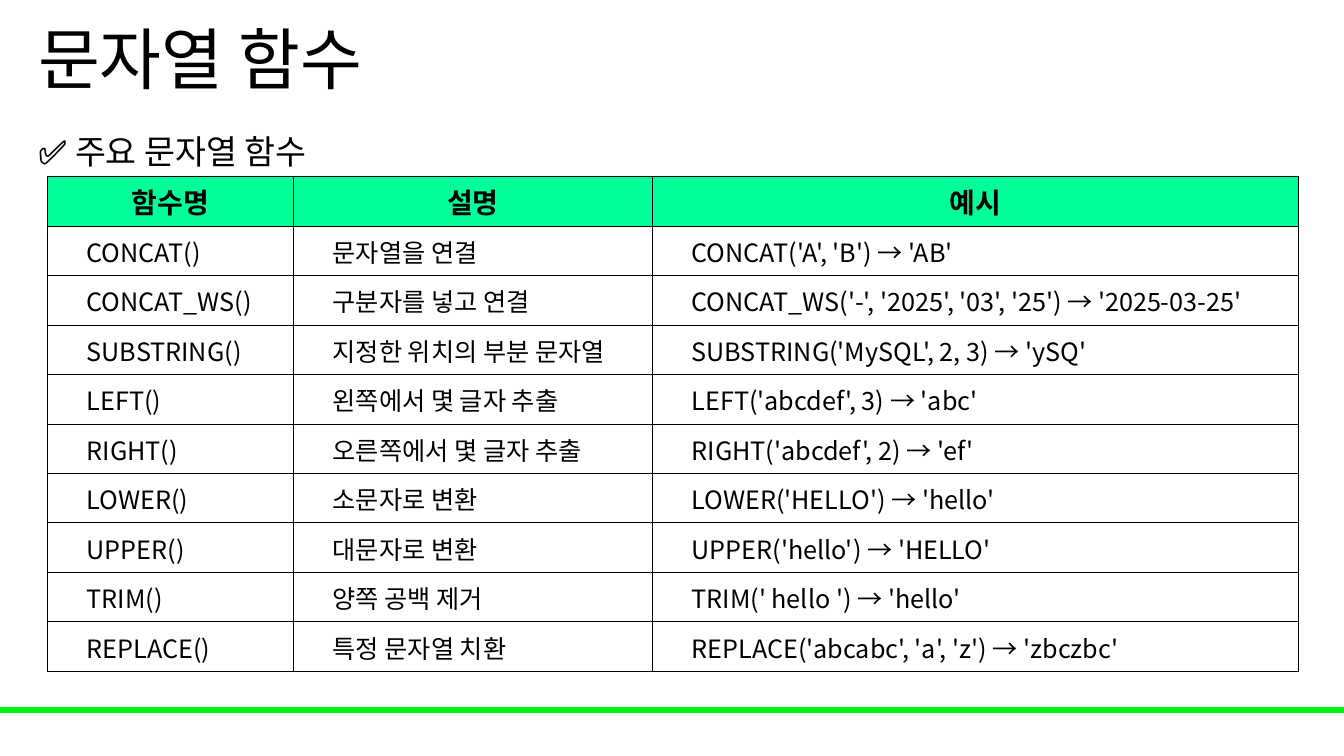
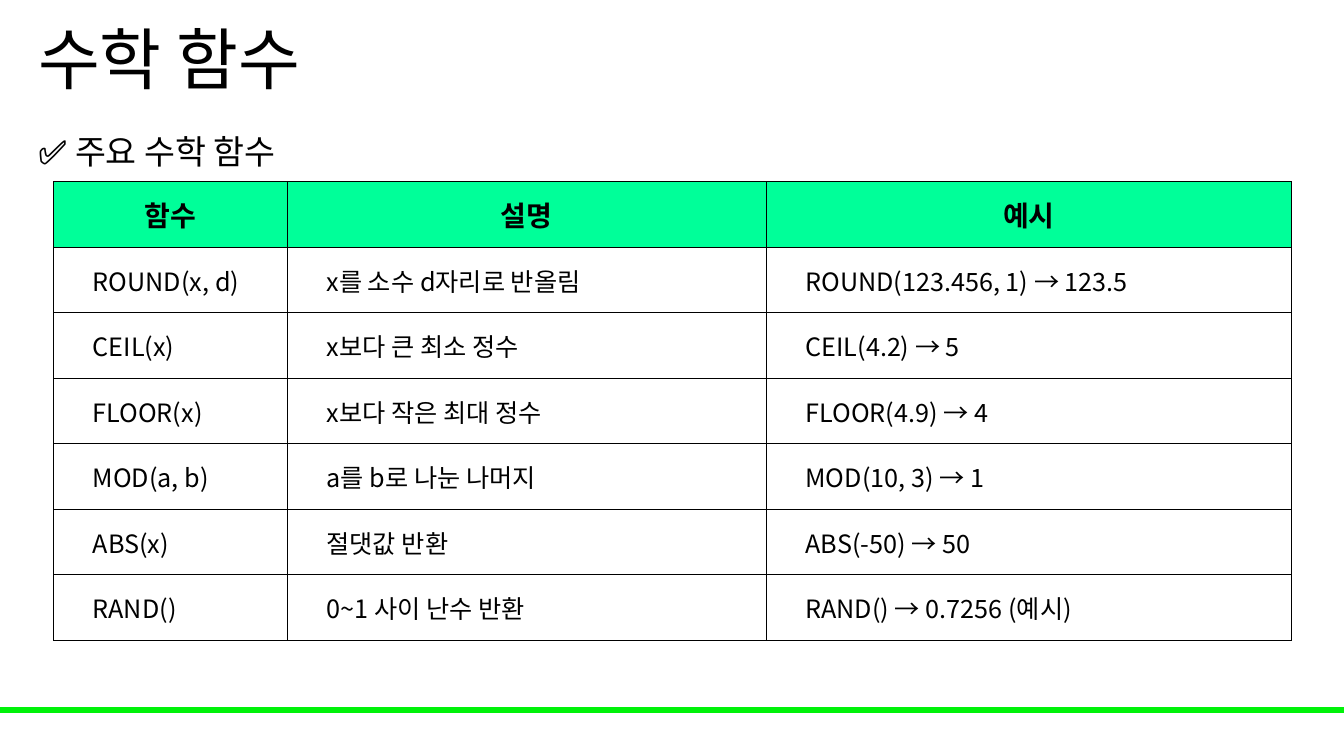
from dataclasses import dataclass

from lxml.etree import SubElement
from pptx import Presentation
from pptx.dml.color import RGBColor
from pptx.enum.shapes import MSO_SHAPE
from pptx.enum.text import MSO_ANCHOR, PP_ALIGN
from pptx.oxml.ns import qn
from pptx.util import Inches, Pt


@dataclass(frozen=True)
class Theme:
    font: str = "Noto Sans CJK KR"
    ink: str = "000000"
    band: str = "00F209"
    header: str = "00FF99"
    title_size: int = 48
    subtitle_size: int = 24
    header_size: int = 20
    body_size: int = 18
    border_width: float = 0.5


THEME = Theme()
SLIDE_WIDTH, SLIDE_HEIGHT = 13.33, 7.5
TITLE_BOX = (0.28, 0, 11.5, 1.25)
SUBTITLE_BOX = (0.28, 1.05, 6.69, 0.64)
BAND_BOX = (0, 7.02, SLIDE_WIDTH, 0.05)

STRING_FUNCTIONS = [
    ("함수명", "설명", "예시"),
    ("CONCAT()", "문자열을 연결", "CONCAT('A', 'B') → 'AB'"),
    ("CONCAT_WS()", "구분자를 넣고 연결",
     "CONCAT_WS('-', '2025', '03', '25') → '2025-03-25'"),
    ("SUBSTRING()", "지정한 위치의 부분 문자열", "SUBSTRING('MySQL', 2, 3) → 'ySQ'"),
    ("LEFT()", "왼쪽에서 몇 글자 추출", "LEFT('abcdef', 3) → 'abc'"),
    ("RIGHT()", "오른쪽에서 몇 글자 추출", "RIGHT('abcdef', 2) → 'ef'"),
    ("LOWER()", "소문자로 변환", "LOWER('HELLO') → 'hello'"),
    ("UPPER()", "대문자로 변환", "UPPER('hello') → 'HELLO'"),
    ("TRIM()", "양쪽 공백 제거", "TRIM(' hello ') → 'hello'"),
    ("REPLACE()", "특정 문자열 치환", "REPLACE('abcabc', 'a', 'z') → 'zbczbc'"),
]

MATH_FUNCTIONS = [
    ("함수", "설명", "예시"),
    ("ROUND(x, d)", "x를 소수 d자리로 반올림", "ROUND(123.456, 1) → 123.5"),
    ("CEIL(x)", "x보다 큰 최소 정수", "CEIL(4.2) → 5"),
    ("FLOOR(x)", "x보다 작은 최대 정수", "FLOOR(4.9) → 4"),
    ("MOD(a, b)", "a를 b로 나눈 나머지", "MOD(10, 3) → 1"),
    ("ABS(x)", "절댓값 반환", "ABS(-50) → 50"),
    ("RAND()", "0~1 사이 난수 반환", "RAND() → 0.7256 (예시)"),
]


def color(value):
    return RGBColor.from_string(value)


def inches(box):
    return [Inches(length) for length in box]


def write_text(frame, text, *, size, bold=False, align=PP_ALIGN.LEFT, spacing=1.0):
    paragraph = frame.paragraphs[0]
    paragraph.alignment = align
    paragraph.line_spacing = spacing
    run = paragraph.add_run()
    run.text = text
    run.font.size = Pt(size)
    run.font.bold = bold
    run.font.color.rgb = color(THEME.ink)
    run.font.name = THEME.font
    for script in ("a:ea", "a:cs"):
        SubElement(run.font._element, qn(script), typeface=THEME.font)


def add_label(slide, box, text, *, anchor=MSO_ANCHOR.TOP, **text_format):
    frame = slide.shapes.add_textbox(*inches(box)).text_frame
    frame.word_wrap = True
    frame.vertical_anchor = anchor
    write_text(frame, text, **text_format)


def add_band(slide, box):
    band = slide.shapes.add_shape(MSO_SHAPE.RECTANGLE, *inches(box))
    band.shadow.inherit = False
    band.fill.solid()
    band.fill.fore_color.rgb = color(THEME.band)
    band.line.color.rgb = color(THEME.band)
    band.line.width = Pt(1)


def outline_cell(cell):
    properties = cell._tc.get_or_add_tcPr()
    for side in ("a:lnL", "a:lnR", "a:lnT", "a:lnB"):
        border = SubElement(properties, qn(side), w=str(Pt(THEME.border_width)))
        fill = SubElement(border, qn("a:solidFill"))
        SubElement(fill, qn("a:srgbClr"), val=THEME.ink)


def fill_cell(cell, text, is_header):
    outline_cell(cell)
    cell.vertical_anchor = MSO_ANCHOR.MIDDLE
    cell.margin_left = Inches(0.01 if is_header else 0.39)
    cell.margin_top = cell.margin_right = Inches(0.01)
    cell.margin_bottom = 0
    if is_header:
        cell.fill.solid()
        cell.fill.fore_color.rgb = color(THEME.header)
        write_text(cell.text_frame, text, size=THEME.header_size, bold=True,
                   align=PP_ALIGN.CENTER)
    else:
        cell.fill.background()
        write_text(cell.text_frame, text, size=THEME.body_size)


def add_function_table(slide, left, top, height, widths, functions):
    box = (left, top, sum(widths), height)
    table = slide.shapes.add_table(len(functions), len(widths), *inches(box)).table
    table.first_row = table.horz_banding = False
    for column, width in zip(table.columns, widths):
        column.width = Inches(width)
    for index, (row, texts) in enumerate(zip(table.rows, functions)):
        row.height = Inches(height / len(functions))
        for cell, text in zip(row.cells, texts):
            fill_cell(cell, text, index == 0)


def add_function_slide(deck, title, subtitle, **table_layout):
    slide = deck.slides.add_slide(deck.slide_layouts[6])
    add_band(slide, BAND_BOX)
    add_label(slide, TITLE_BOX, title, size=THEME.title_size, spacing=0.9,
              anchor=MSO_ANCHOR.MIDDLE)
    add_label(slide, SUBTITLE_BOX, subtitle, size=THEME.subtitle_size, spacing=1.5)
    add_function_table(slide, **table_layout)


def main():
    deck = Presentation()
    deck.slide_width = Inches(SLIDE_WIDTH)
    deck.slide_height = Inches(SLIDE_HEIGHT)
    add_function_slide(deck, "문자열 함수", "✅ 주요 문자열 함수",
                       left=0.47, top=1.75, height=4.91,
                       widths=(2.44, 3.56, 6.41), functions=STRING_FUNCTIONS)
    add_function_slide(deck, "수학 함수", "✅ 주요 수학 함수",
                       left=0.53, top=1.8, height=4.55,
                       widths=(2.32, 4.75, 5.21), functions=MATH_FUNCTIONS)
    deck.save("out.pptx")


if __name__ == "__main__":
    main()
